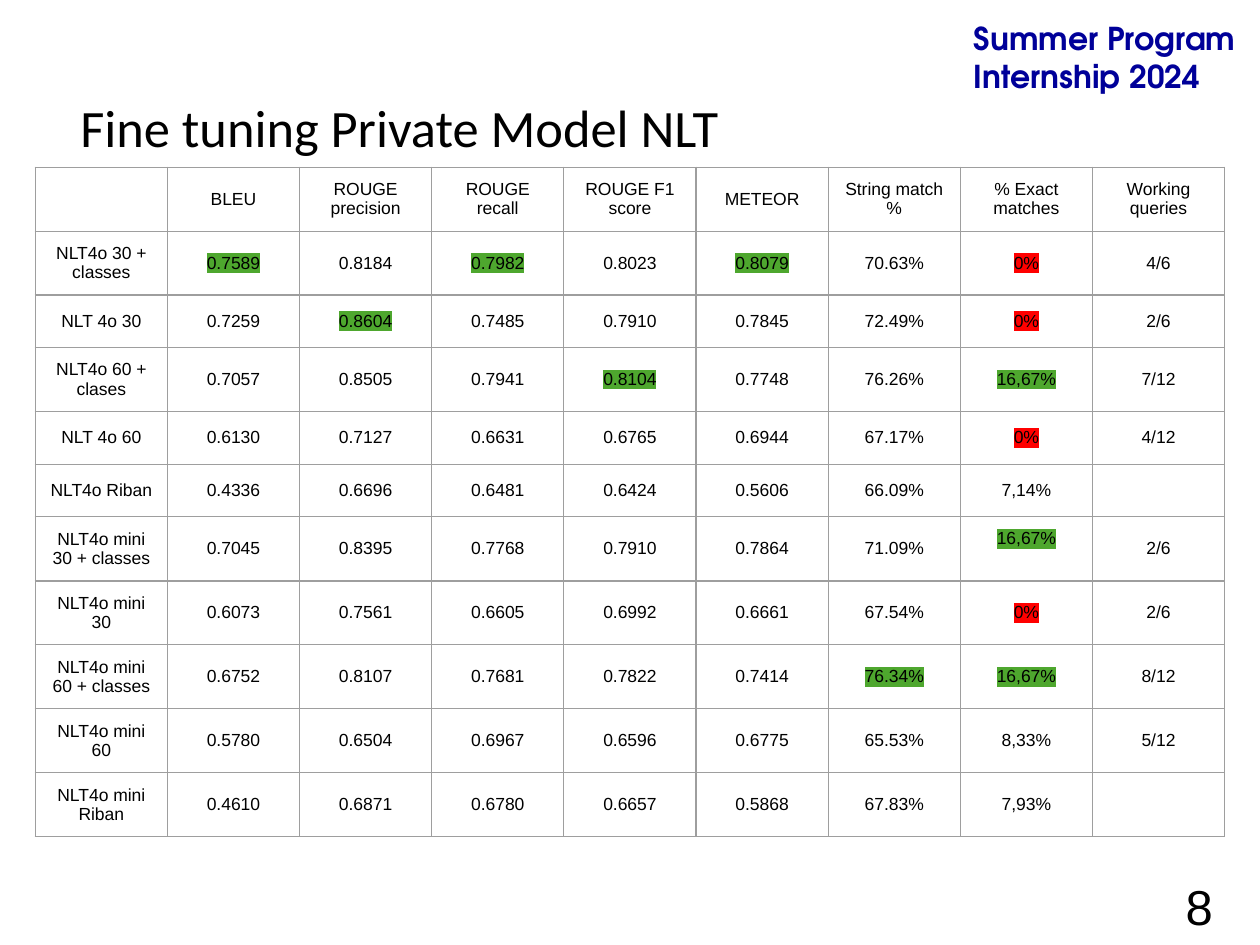
from lxml.etree import SubElement
from pptx import Presentation
from pptx.dml.color import RGBColor as Rgb
from pptx.enum.text import MSO_ANCHOR as Anchor, MSO_AUTO_SIZE as AutoSize, PP_ALIGN as Align
from pptx.oxml import parse_xml
from pptx.oxml.ns import nsdecls, qn
from pptx.util import Cm, Pt

HEADERS = ["", "BLEU", "ROUGE precision", "ROUGE recall", "ROUGE F1 score", "METEOR",
           "String match %", "% Exact matches", "Working queries"]
RESULTS = [
    ("NLT4o 30 + classes", "0.7589", "0.8184", "0.7982", "0.8023", "0.8079", "70.63%", "0%", "4/6"),
    ("NLT 4o 30", "0.7259", "0.8604", "0.7485", "0.7910", "0.7845", "72.49%", "0%", "2/6"),
    ("NLT4o 60 + clases", "0.7057", "0.8505", "0.7941", "0.8104", "0.7748", "76.26%", "16,67%", "7/12"),
    ("NLT 4o 60", "0.6130", "0.7127", "0.6631", "0.6765", "0.6944", "67.17%", "0%", "4/12"),
    ("NLT4o Riban", "0.4336", "0.6696", "0.6481", "0.6424", "0.5606", "66.09%", "7,14%", ""),
    ("NLT4o mini 30 + classes", "0.7045", "0.8395", "0.7768", "0.7910", "0.7864", "71.09%", "16,67%", "2/6"),
    ("NLT4o mini 30", "0.6073", "0.7561", "0.6605", "0.6992", "0.6661", "67.54%", "0%", "2/6"),
    ("NLT4o mini 60 + classes", "0.6752", "0.8107", "0.7681", "0.7822", "0.7414", "76.34%", "16,67%", "8/12"),
    ("NLT4o mini 60", "0.5780", "0.6504", "0.6967", "0.6596", "0.6775", "65.53%", "8,33%", "5/12"),
    ("NLT4o mini Riban", "0.4610", "0.6871", "0.6780", "0.6657", "0.5868", "67.83%", "7,93%", ""),
]
SCORE_COLUMNS = range(1, 8)
RAISED_CELL = (6, 7)

THEME = {
    "program": {"name": "TeX Gyre Adventor", "size": Pt(18), "bold": True, "color": "000099"},
    "number": {"name": "Arial", "size": Pt(28), "color": "000000"},
    "title": {"name": "Calibri", "size": Pt(30), "color": "000000"},
    "table": {"name": "Arial", "size": Pt(10), "color": "000000"},
    "border": "9E9E9E",
    "best": "4EA72E",
    "worst": "FF0000",
}
PADDING = Cm(0.25)
THIN_PADDING = Cm(0.13)
TABLE_BOX = (Cm(0.71), Cm(3.37), Cm(23.98), Cm(11.77))
TEXTS = [
    ("Summer Program\vInternship 2024", "program", (19.38, 0.25, 6.02, 1.8),
     {"margin_top": THIN_PADDING, "margin_bottom": THIN_PADDING, "auto_size": AutoSize.SHAPE_TO_FIT_TEXT}, {}),
    ("8", "number", (23.65, 17.42, 2.87, 0.74),
     {"margin_top": PADDING, "margin_bottom": PADDING, "auto_size": AutoSize.NONE}, {}),
    ("Fine tuning Private Model NLT", "title", (1.37, 1.6, 21.89, 2.06),
     {"margin_top": THIN_PADDING, "margin_bottom": THIN_PADDING, "auto_size": AutoSize.NONE,
      "vertical_anchor": Anchor.MIDDLE}, {"line_spacing": 0.9}),
]
CELL_FORMAT = {"vertical_anchor": Anchor.MIDDLE, "margin_left": PADDING, "margin_right": PADDING,
               "margin_top": PADDING, "margin_bottom": PADDING}


def apply(target, values):
    """Set each named attribute on the target."""
    for name, value in values.items():
        setattr(target, name, value)


def style_run(run, style):
    """Give a run the font named in the theme."""
    values = dict(THEME[style])
    run.font.color.rgb = Rgb.from_string(values.pop("color"))
    apply(run.font, values)


def add_text(slide, text, style, box, frame_format, paragraph_format):
    """Place one text box."""
    frame = slide.shapes.add_textbox(*map(Cm, box)).text_frame
    apply(frame, {"word_wrap": True, "margin_left": PADDING, "margin_right": PADDING, **frame_format})
    paragraph = frame.paragraphs[0]
    paragraph.text = text
    apply(paragraph, paragraph_format)
    for run in paragraph.runs:
        style_run(run, style)


def highlight(run, color):
    """Mark the background of a run."""
    mark = parse_xml(f'<a:highlight {nsdecls("a")}><a:srgbClr val="{color}"/></a:highlight>')
    run.font._element.find(qn("a:solidFill")).addnext(mark)


def add_borders(cell):
    """Draw a thin line on all four sides of a cell."""
    properties = cell._tc.get_or_add_tcPr()
    for index, side in enumerate(("lnL", "lnR", "lnT", "lnB")):
        properties.insert(index, parse_xml(
            f'<a:{side} {nsdecls("a")} w="{Pt(0.75)}"><a:solidFill>'
            f'<a:srgbClr val="{THEME["border"]}"/></a:solidFill></a:{side}>'))


def number(text):
    """Read a score or percentage."""
    return float(text.rstrip("%").replace(",", "."))


def mark_color(text, column, best):
    """Choose the highlight for a score: best of its column, or zero."""
    if column not in SCORE_COLUMNS:
        return None
    if number(text) == 0:
        return THEME["worst"]
    return THEME["best"] if number(text) == best[column] else None


def fill_cell(cell, text, color):
    """Write and format one table cell."""
    apply(cell, CELL_FORMAT)
    cell.fill.background()
    add_borders(cell)
    paragraph = cell.text_frame.paragraphs[0]
    paragraph.alignment = Align.CENTER
    if not text:
        SubElement(paragraph._p, qn("a:endParaRPr"), sz=str(int(THEME["table"]["size"].pt * 100)))
        return
    run = paragraph.add_run()
    run.text = text
    style_run(run, "table")
    if color:
        highlight(run, color)


def add_results(slide):
    """Build the table of scores."""
    left, top, width, height = TABLE_BOX
    table = slide.shapes.add_table(len(RESULTS) + 1, len(HEADERS), left, top, width, height).table
    apply(table, {"first_row": False, "horz_banding": False})
    for row in table.rows:
        row.height = Cm(1.06)
    best = {column: max(number(result[column]) for result in RESULTS) for column in SCORE_COLUMNS}
    for row, texts in enumerate([HEADERS, *RESULTS]):
        for column, text in enumerate(texts):
            color = mark_color(text, column, best) if row else None
            fill_cell(table.cell(row, column), text, color)
    table.cell(*RAISED_CELL).margin_bottom = Cm(0.65)


def main():
    """Build and save the slide."""
    presentation = Presentation()
    apply(presentation, {"slide_width": Cm(25.4), "slide_height": Cm(19.05)})
    slide = presentation.slides.add_slide(presentation.slide_layouts[6])
    add_results(slide)
    for text in TEXTS:
        add_text(slide, *text)
    presentation.save("out.pptx")


if __name__ == "__main__":
    main()
